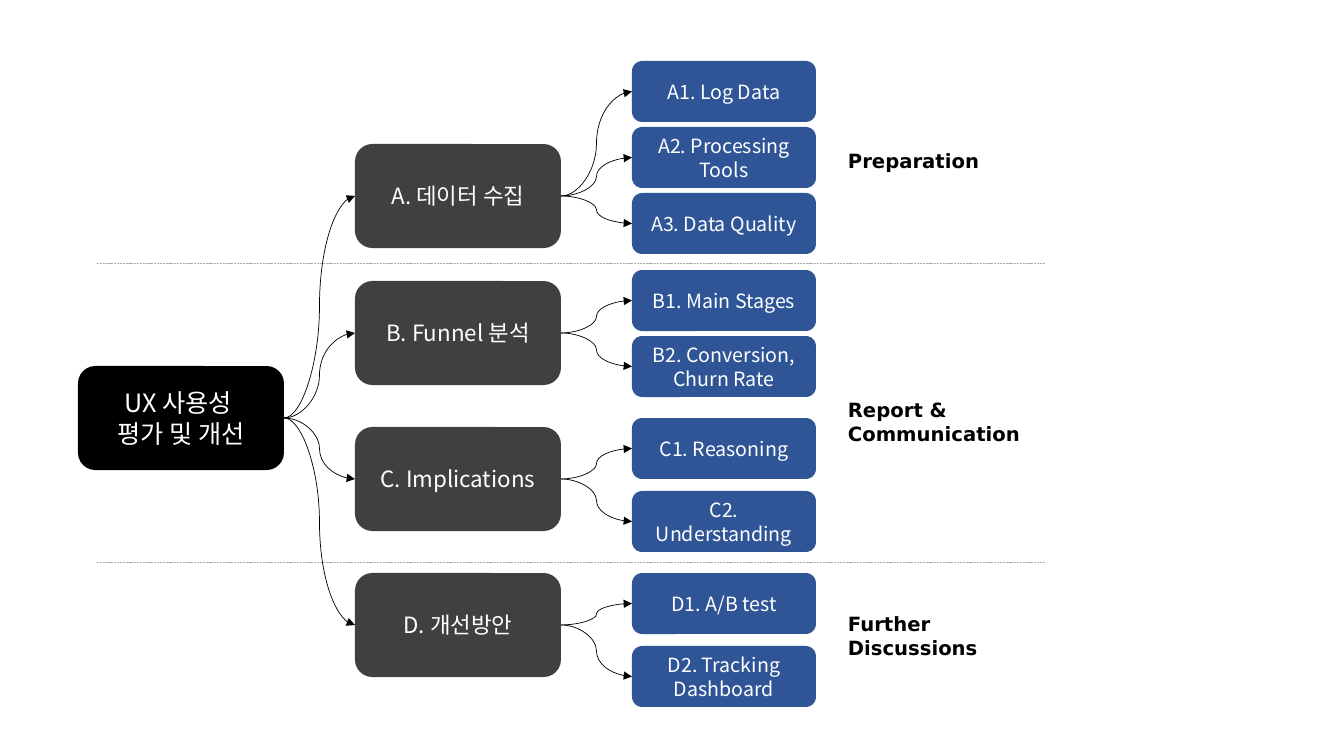
from lxml.etree import SubElement
from pptx import Presentation
from pptx.dml.color import RGBColor
from pptx.enum.dml import MSO_LINE
from pptx.enum.shapes import MSO_CONNECTOR as LINK, MSO_SHAPE as SHAPE
from pptx.enum.text import MSO_ANCHOR as ANCHOR, PP_ALIGN as ALIGN
from pptx.oxml.ns import qn
from pptx.util import Pt

BLACK = RGBColor(0x00, 0x00, 0x00)
WHITE = RGBColor(0xFF, 0xFF, 0xFF)
CHARCOAL = RGBColor(0x40, 0x40, 0x40)
BLUE = RGBColor(0x2F, 0x55, 0x97)
GRAY = RGBColor(0xAF, 0xAB, 0xAB)

NODE_FONT = "Noto Sans CJK KR"
LABEL_FONT = "DejaVu Sans"
SCALE = 914400 / 100.8
LEFT_SITE, RIGHT_SITE = 1, 3

NODE_WIDTH, NODE_HEIGHT = 206, 104
LEAF_WIDTH, LEAF_HEIGHT = 184, 61
BRANCH_LEFT, LEAF_LEFT = 277, 554

BRANCHES = [
    (144, "A. 데이터 수집",
     [(61, "A1. Log Data"), (127, "A2. Processing Tools"), (193, "A3. Data Quality")]),
    (281, "B. Funnel 분석",
     [(270, "B1. Main Stages"), (336, "B2. Conversion, Churn Rate")]),
    (427, "C. Implications",
     [(418, "C1. Reasoning"), (491, "C2. Understanding")]),
    (573, "D. 개선방안",
     [(573, "D1. A/B test"), (646, "D2. Tracking Dashboard")]),
]
STAGES = [
    (144, 153, 34, ["Preparation"]),
    (393, 208, 57, ["Report & Communication"]),
    (607, 153, 57, ["Further", "Discussions"]),
]
DIVIDERS = [263, 562]


def emu(pixels):
    return round(pixels * SCALE)


def write(frame, lines, size, font, color, bold=False, align=None):
    frame.word_wrap = True
    for index, line in enumerate(lines):
        para = frame.paragraphs[0] if index == 0 else frame.add_paragraph()
        para.alignment = align
        span = para.add_run()
        span.text = line
        span.font.size = Pt(size)
        span.font.bold = bold
        span.font.name = font
        span.font.color.rgb = color
        SubElement(span.font._element, qn("a:ea"), typeface=font)


def add_node(page, box, fill, lines, size):
    node = page.shapes.add_shape(SHAPE.ROUNDED_RECTANGLE, *map(emu, box))
    node.shadow.inherit = False
    node.fill.solid()
    node.fill.fore_color.rgb = fill
    node.line.fill.background()
    node.text_frame.vertical_anchor = ANCHOR.MIDDLE
    write(node.text_frame, lines, size, NODE_FONT, WHITE, align=ALIGN.CENTER)
    return node


def add_line(page, kind, ends, color):
    line = page.shapes.add_connector(kind, *map(emu, ends))
    line.line.color.rgb = color
    line.line.width = Pt(0.5)
    SubElement(line._element.spPr, qn("a:effectLst"))
    return line


def link(page, parent, child):
    arrow = add_line(page, LINK.CURVE, (0, 0, 0, 0), BLACK)
    arrow.begin_connect(parent, RIGHT_SITE)
    arrow.end_connect(child, LEFT_SITE)
    SubElement(arrow.line._get_or_add_ln(), qn("a:tailEnd"), type="triangle")


def draw_tree(page, left, top):
    root = add_node(page, (left, top + 366, NODE_WIDTH, NODE_HEIGHT),
                    BLACK, ["UX 사용성 ", "평가 및 개선"], 18)
    for branch_top, title, leaves in BRANCHES:
        branch = add_node(page, (left + BRANCH_LEFT, top + branch_top, NODE_WIDTH, NODE_HEIGHT),
                          CHARCOAL, [title], 16)
        link(page, root, branch)
        for leaf_top, name in leaves:
            leaf = add_node(page, (left + LEAF_LEFT, top + leaf_top, LEAF_WIDTH, LEAF_HEIGHT),
                            BLUE, [name], 14)
            link(page, branch, leaf)


def draw_dividers(page, left, top, width):
    for offset in DIVIDERS:
        divider = add_line(page, LINK.STRAIGHT,
                           (left, top + offset, left + width, top + offset), GRAY)
        divider.line.dash_style = MSO_LINE.SQUARE_DOT


def draw_stages(page, left, top):
    for offset, width, height, lines in STAGES:
        label = page.shapes.add_textbox(*map(emu, (left, top + offset, width, height)))
        write(label.text_frame, lines, 14, LABEL_FONT, BLACK, bold=True)


deck = Presentation()
deck.slide_width, deck.slide_height = emu(1344), emu(756)
page = deck.slides.add_slide(deck.slide_layouts[6])
draw_tree(page, 78, 0)
draw_dividers(page, 97, 0, 948)
draw_stages(page, 838, 0)
deck.save("out.pptx")
